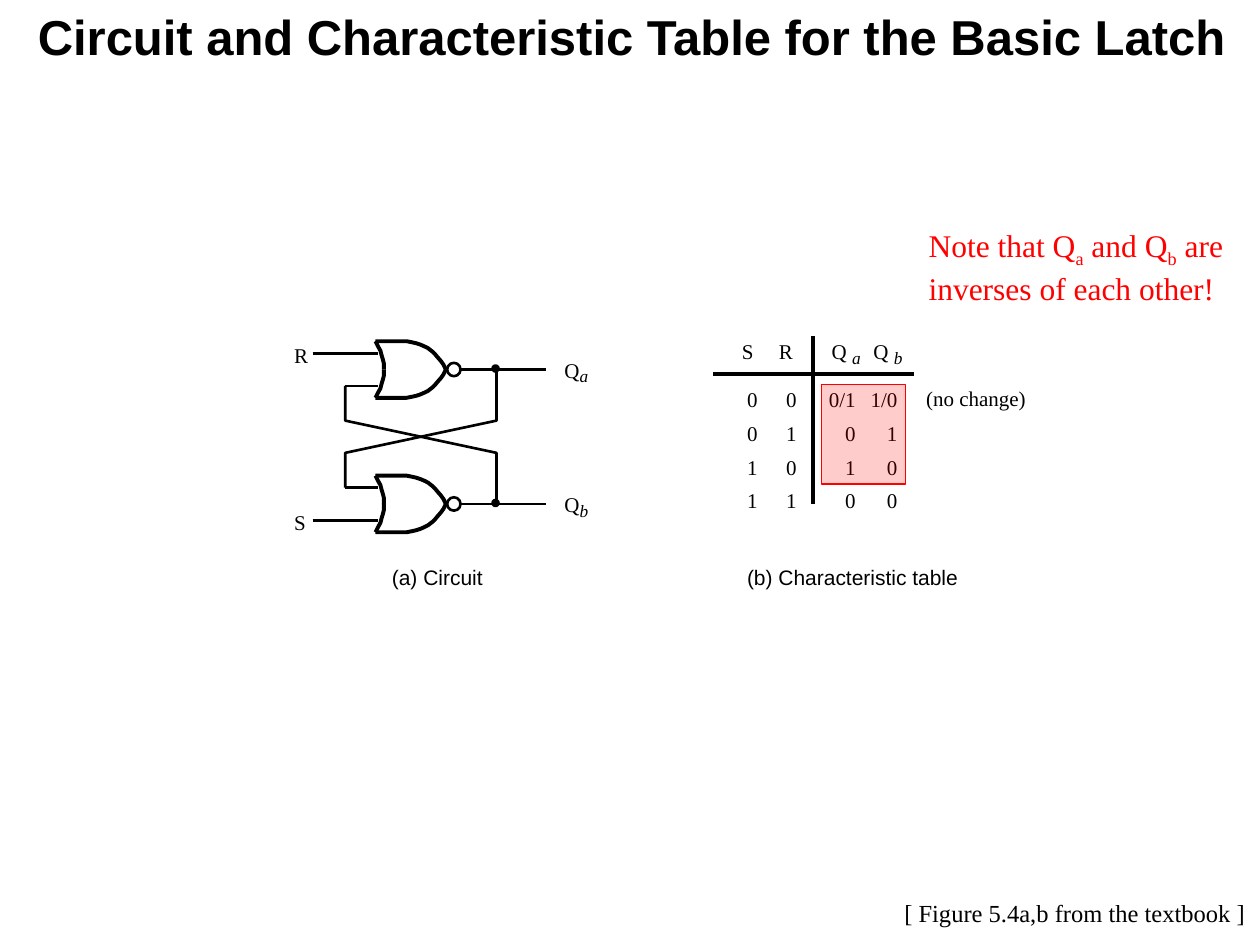
import dataclasses

import lxml.etree
import pptx
import pptx.dml.color
import pptx.enum.shapes
import pptx.enum.text
import pptx.oxml.ns
import pptx.util

Cm = pptx.util.Cm
Pt = pptx.util.Pt
SHAPES = pptx.enum.shapes.MSO_SHAPE
ALIGN = pptx.enum.text.PP_ALIGN
ANCHOR = pptx.enum.text.MSO_ANCHOR
qualified = pptx.oxml.ns.qn


@dataclasses.dataclass(frozen=True)
class Theme:
    ink: str = "000000"
    accent: str = "FF0000"
    serif: str = "Times New Roman"
    sans: str = "Arial"
    title: float = 28
    note: float = 18
    source: float = 14
    label: float = 12
    subscript: float = 17
    wire: float = 1.5
    heavy: float = 2.25
    outline: float = 0.75
    no_table_style: str = "{2D5ABB26-0587-4C30-8999-92F81FD0307C}"


THEME = Theme()

# Circuit geometry, in centimetres
GATE_LEFT = 7.57
GATE_ROWS = (7.45, 10.16)
INPUT_OFFSET = 0.33
FEEDBACK_LEFT, FEEDBACK_RIGHT, FEEDBACK_DROP = 6.96, 10.01, 1.03
GATE_FRONT = [(0, 0.57), (0.63, 0.57), (0.73, 0.55), (0.82, 0.53), (0.91, 0.5),
              (1, 0.46), (1.06, 0.43), (1.11, 0.39), (1.15, 0.36), (1.2, 0.31),
              (1.25, 0.25), (1.32, 0.17), (1.37, 0.1), (1.42, 0)]
GATE_BACK = [(0, 0.57), (0.05, 0.47), (0.1, 0.38), (0.12, 0.3), (0.15, 0.2),
             (0.17, 0.12), (0.17, 0)]

# Characteristic table
TABLE_LEFT, TABLE_TOP = 14.38, 6.62
COLUMN_WIDTHS = (1.22, 0.79, 1.11, 0.92)
ROW_HEIGHTS = (0.92, 0.77, 0.68, 0.68, 0.68)
HEADER_MARGINS = (0.41, 0.41, 0.15, 0.23)
BODY_MARGINS = (0.33, 0.33, 0.25, 0.33)
HEADER = (("S", ""), ("R", ""), ("Q ", "a"), ("Q ", "b"))
STATES = (("0", "0", "0/1", "1/0"), ("0", "1", "0", "1"),
          ("1", "0", "1", "0"), ("1", "1", "0", "0"))


def color(value):
    return pptx.dml.color.RGBColor.from_string(value)


def add_span(para, text, size=THEME.label, face=THEME.serif, ink=THEME.ink,
             bold=False, italic=False, baseline=0):
    span = para.add_run()
    span.text = text
    span.font.size = Pt(size)
    span.font.name = face
    span.font.bold = bold
    span.font.italic = italic
    span.font.color.rgb = color(ink)
    if baseline:
        span._r.get_or_add_rPr().set("baseline", str(baseline * 1000))


def add_symbol(para, name, index=""):
    add_span(para, name)
    if index:
        add_span(para, index, THEME.subscript, italic=True, baseline=-15)


def add_box(page, left, top, width, height, inset=(0, 0), wrap=False):
    box = page.shapes.add_textbox(Cm(left), Cm(top), Cm(width), Cm(height))
    frame = box.text_frame
    frame.margin_left = frame.margin_right = Cm(inset[0])
    frame.margin_top = frame.margin_bottom = Cm(inset[1])
    frame.word_wrap = wrap
    if not wrap:
        frame.auto_size = pptx.enum.text.MSO_AUTO_SIZE.SHAPE_TO_FIT_TEXT
    return frame


def add_wire(page, start, end, weight=THEME.wire):
    wire = page.shapes.add_connector(pptx.enum.shapes.MSO_CONNECTOR.STRAIGHT,
                                     *map(Cm, start + end))
    wire.line.color.rgb = color(THEME.ink)
    wire.line.width = Pt(weight)
    lxml.etree.SubElement(wire._element.spPr, qualified("a:effectLst"))


def style_shape(shape, fill=None, line=THEME.ink, weight=THEME.wire):
    shape.shadow.inherit = False
    if fill:
        shape.fill.solid()
        shape.fill.fore_color.rgb = color(fill)
    else:
        shape.fill.background()
    shape.line.color.rgb = color(line)
    shape.line.width = Pt(weight)


def add_trace(page, points, weight=THEME.wire):
    spots = [(Cm(x), Cm(y)) for x, y in points]
    builder = page.shapes.build_freeform(*spots[0])
    builder.add_line_segments(spots[1:], close=False)
    style_shape(builder.convert_to_shape(), weight=weight)


def add_circle(page, x, y, diameter, fill=None):
    circle = page.shapes.add_shape(SHAPES.OVAL, Cm(x - diameter / 2), Cm(y - diameter / 2),
                                   Cm(diameter), Cm(diameter))
    style_shape(circle, fill)


def add_gate(page, y, other, side, name, index):
    """One NOR gate; side is 1 when its feedback input faces down, -1 when up."""
    # Outline: each half mirrors the other
    for half in (-1, 1):
        for contour in (GATE_FRONT, GATE_BACK):
            add_trace(page, [(GATE_LEFT + dx, y + half * dy) for dx, dy in contour],
                      THEME.heavy)
    # Inputs and output
    outer = y - side * INPUT_OFFSET
    inner = y + side * INPUT_OFFSET
    add_wire(page, (6.3, outer), (7.62, outer))
    add_wire(page, (FEEDBACK_LEFT, inner), (7.62, inner))
    add_wire(page, (9.29, y), (11, y))
    add_circle(page, 9.15, y, 0.27)
    # Feedback to the other gate
    add_trace(page, [(FEEDBACK_RIGHT, y),
                     (FEEDBACK_RIGHT, y + side * FEEDBACK_DROP),
                     (FEEDBACK_LEFT, other - side * FEEDBACK_DROP),
                     (FEEDBACK_LEFT, other - side * INPUT_OFFSET)])
    add_circle(page, FEEDBACK_RIGHT - 0.02, y - 0.02, 0.12, THEME.ink)
    # Signal names
    add_symbol(add_box(page, 5.93, outer - 0.21, 0.25, 0.51).paragraphs[0], name)
    add_symbol(add_box(page, 11.38, y - 0.42, 0.49, 0.69).paragraphs[0], "Q", index)


def add_truth_table(page):
    right = TABLE_LEFT + sum(COLUMN_WIDTHS)
    frame = page.shapes.add_table(len(ROW_HEIGHTS), len(COLUMN_WIDTHS),
                                  Cm(TABLE_LEFT), Cm(TABLE_TOP),
                                  Cm(sum(COLUMN_WIDTHS)), Cm(sum(ROW_HEIGHTS)))
    table = frame.table
    table.horz_banding = False
    table.first_row = False
    table._tbl.tblPr.find(qualified("a:tableStyleId")).text = THEME.no_table_style
    for column, width in zip(table.columns, COLUMN_WIDTHS):
        column.width = Cm(width)
    for row, height in zip(table.rows, ROW_HEIGHTS):
        row.height = Cm(height)

    rows = [HEADER] + [[(value, "") for value in state] for state in STATES]
    for r, symbols in enumerate(rows):
        for c, (name, index) in enumerate(symbols):
            cell = table.cell(r, c)
            cell.fill.background()
            cell.margin_left = cell.margin_top = cell.margin_bottom = 0
            cell.margin_right = Cm(BODY_MARGINS[c] if r else HEADER_MARGINS[c])
            cell.vertical_anchor = ANCHOR.BOTTOM if r else ANCHOR.TOP
            if r == 0:
                # Subscripts make a taller line, so plain names start lower
                cell.margin_top = Cm(0.09 if index else 0.25)
            para = cell.text_frame.paragraphs[0]
            para.alignment = ALIGN.RIGHT
            add_symbol(para, name, index)

    # Rules under the header and between inputs and outputs
    rule_y = TABLE_TOP + ROW_HEIGHTS[0]
    rule_x = TABLE_LEFT + sum(COLUMN_WIDTHS[:2])
    add_wire(page, (TABLE_LEFT, rule_y), (right, rule_y), THEME.heavy)
    add_wire(page, (rule_x, 6.78), (rule_x, 10.16), THEME.heavy)


def add_note(page):
    frame = add_box(page, 18.47, 4.42, 6.45, 1.88, (0.25, 0.13))
    para = frame.paragraphs[0]
    for text, baseline in (("Note that Q", 0), ("a", -25), (" and Q", 0),
                           ("b", -25), (" are", 0)):
        add_span(para, text, THEME.note, ink=THEME.accent, baseline=baseline)
    add_span(frame.add_paragraph(), "inverses of each other!", THEME.note, ink=THEME.accent)


def add_highlight(page):
    area = page.shapes.add_shape(SHAPES.RECTANGLE, Cm(16.56), Cm(7.75), Cm(1.7), Cm(2.01))
    style_shape(area, THEME.accent, THEME.accent, THEME.outline)
    tint = area._element.spPr.find(qualified("a:solidFill"))[0]
    lxml.etree.SubElement(tint, qualified("a:alpha")).set("val", "20000")


def main():
    deck = pptx.Presentation()
    deck.slide_width, deck.slide_height = Cm(25.4), Cm(19.05)
    page = deck.slides.add_slide(deck.slide_layouts[6])

    # Circuit
    upper, lower = GATE_ROWS
    add_gate(page, upper, lower, 1, "R", "a")
    add_gate(page, lower, upper, -1, "S", "b")

    # Table and captions
    add_truth_table(page)
    add_span(add_box(page, 18.67, 7.77, 2.34, 0.51).paragraphs[0], "(no change)")
    for left, width, caption in ((7.9, 2, "(a) Circuit"),
                                 (15.06, 4.4, "(b) Characteristic table")):
        add_span(add_box(page, left, 11.38, width, 0.51).paragraphs[0], caption,
                 face=THEME.sans)

    # Title, source line and note
    title = add_box(page, 0.03, 0, 25.4, 1.9, (0.25, 0.13), wrap=True).paragraphs[0]
    title.alignment = ALIGN.CENTER
    add_span(title, "Circuit and Characteristic Table for the Basic Latch",
             THEME.title, THEME.sans, bold=True)
    add_span(add_box(page, 17.98, 17.98, 7.39, 0.86, (0.25, 0.13)).paragraphs[0],
             "[ Figure 5.4a,b from the textbook ]", THEME.source)
    add_note(page)
    add_highlight(page)

    deck.save("out.pptx")


if __name__ == "__main__":
    main()
